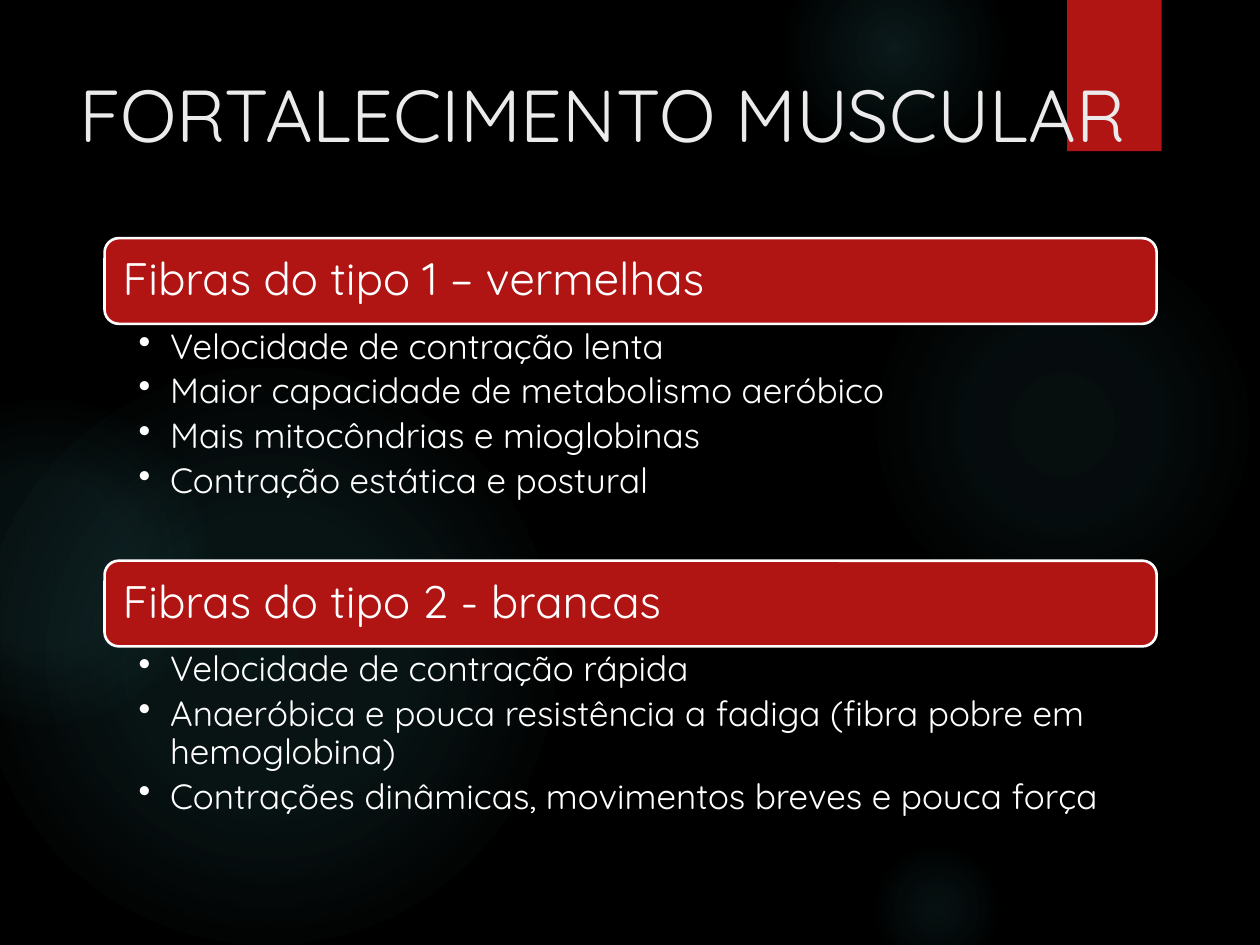
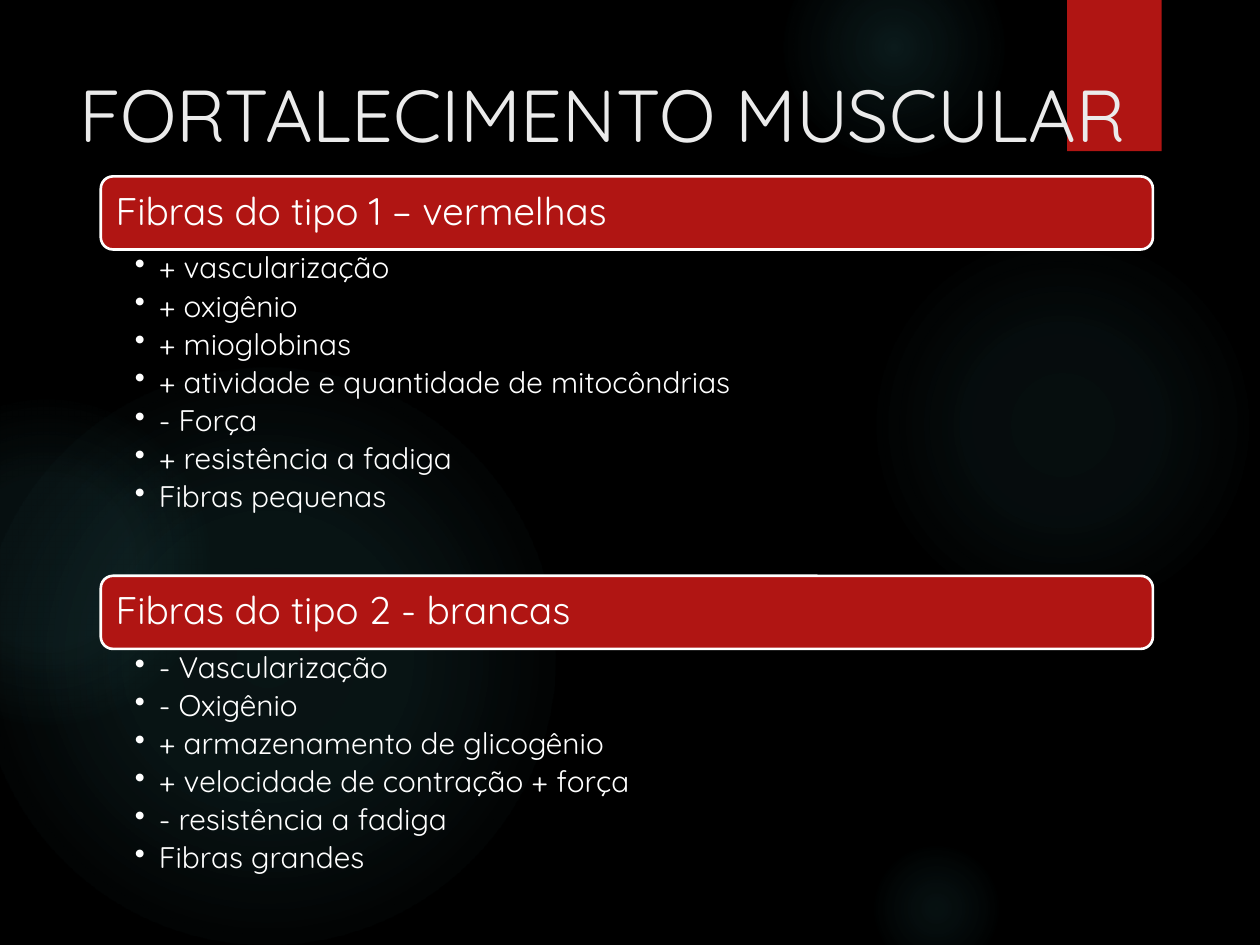
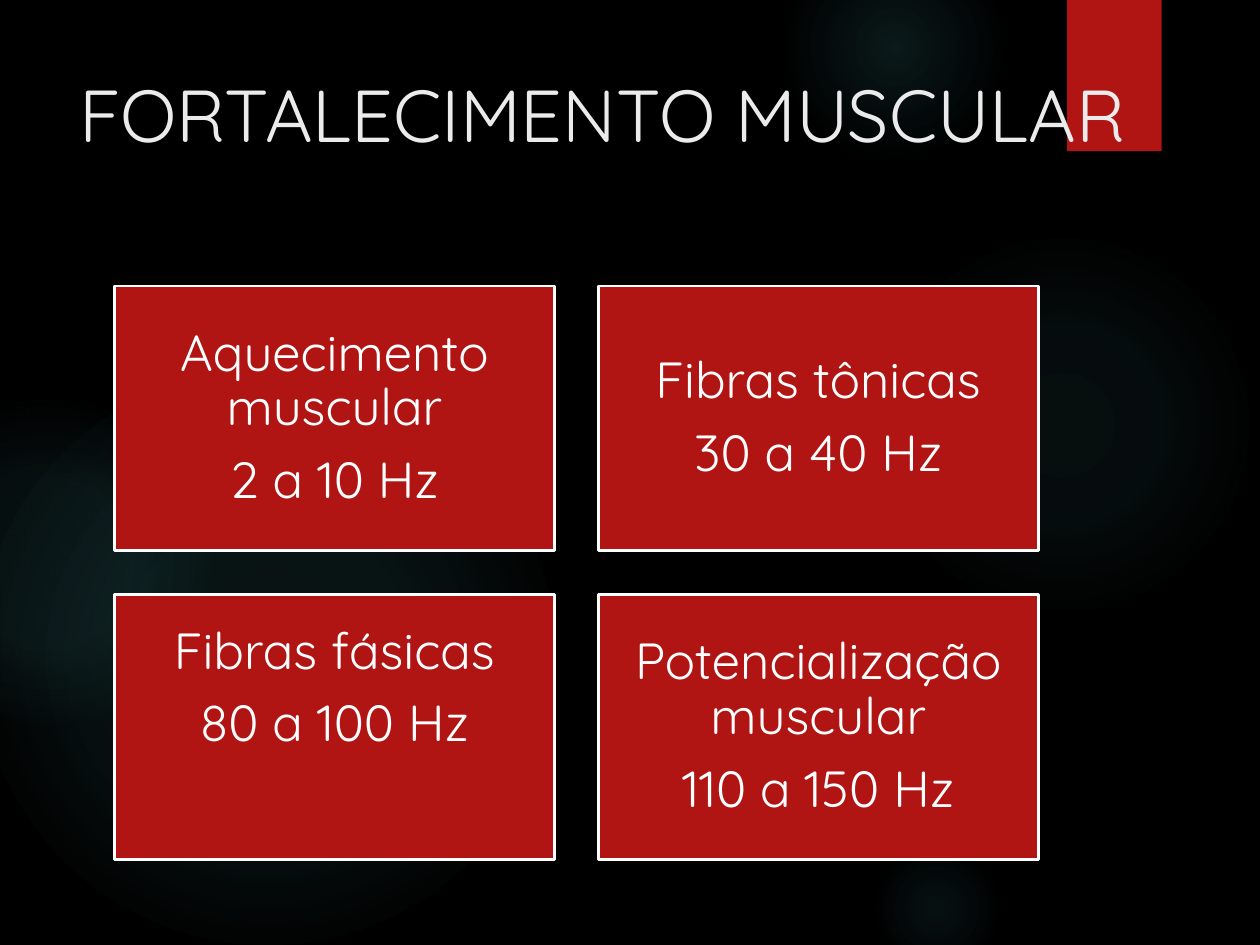
from pptx import Presentation
from pptx.dml.color import RGBColor
from pptx.enum.shapes import MSO_SHAPE
from pptx.enum.text import MSO_ANCHOR, PP_ALIGN
from pptx.oxml import parse_xml
from pptx.oxml.ns import nsdecls
from pptx.util import Inches, Pt
from lxml import etree

THEME = {
    "font": "Quicksand", "black": "000000", "red": "B01513",
    "white": "FFFFFF", "title": "EBEBEB", "glow": "50B9C1",
    "title_size": 42, "tile_size": 29, "line_width": 1.5,
}
TITLE = "FORTALECIMENTO MUSCULAR"

# Background glows: left, top, diameter, (position, opacity) stops in percent
GLOWS = [
    (6.89, 1.83, 3.08, [(0, 7), (36, 6), (69, 0)]),
    (6.22, -0.5, 1.75, [(0, 14), (36, 7), (73, 0)]),
    (6.89, 6.67, 1.08, [(0, 9), (36, 5), (66, 0)]),
    (-0.17, 2.92, 4.58, [(0, 11), (36, 10), (75, 0)]),
    (-0.92, 3.17, 2.58, [(0, 8), (36, 8), (72, 0)]),
]

# Slides that describe the fibre types: header top, body height, header, bullets
FIBRE_SLIDES = [
    {"left": 0.83, "header_h": 0.68, "header_size": 26, "header_inset": 0.11,
     "size": 20, "indent": 0.25, "insets": (0.27, 0.04, 0.2, 0.04),
     "blocks": [
         (1.89, 1.88, "Fibras do tipo 1 – vermelhas", [
             "Velocidade de contração lenta",
             "Maior capacidade de metabolismo aeróbico",
             "Mais mitocôndrias e mioglobinas",
             "Contração estática e postural"]),
         (4.45, 1.77, "Fibras do tipo 2 - brancas", [
             "Velocidade de contração rápida",
             "Anaeróbica e pouca resistência a fadiga (fibra pobre em hemoglobina)",
             "Contrações dinâmicas, movimentos breves e pouca força"])]},
    {"left": 0.8, "header_h": 0.58, "header_size": 22, "header_inset": 0.09,
     "size": 17, "indent": 0.19, "insets": (0.27, 0.03, 0.17, 0.03),
     "blocks": [
         (1.4, 2.59, "Fibras do tipo 1 – vermelhas", [
             "+ vascularização",
             "+ oxigênio",
             "+ mioglobinas",
             "+ atividade e quantidade de mitocôndrias",
             "- Força",
             "+ resistência a fadiga",
             "Fibras pequenas"]),
         (4.57, 2.24, "Fibras do tipo 2 - brancas", [
             "- Vascularização",
             "- Oxigênio",
             "+ armazenamento de glicogênio",
             "+ velocidade de contração + força",
             "- resistência a fadiga",
             "Fibras grandes"])]},
]
BLOCK_W = 8.35

# Frequency tiles: lines of text and bottom inset
TILES = [
    (["Aquecimento muscular", "2 a 10 Hz"], 0.12),
    (["Fibras tônicas", "30 a 40 Hz"], 0.12),
    (["Fibras fásicas", "80 a 100 Hz"], 0.72),
    (["Potencialização muscular", "110 a 150 Hz"], 0.12),
]
TILE_W, TILE_H, TILE_GAP = 3.49, 2.1, 0.35


def add_panel(s, kind, left, top, width, height, fill, line=None):
    sp = s.shapes.add_shape(kind, Inches(left), Inches(top), Inches(width), Inches(height))
    sp.shadow.inherit = False
    sp.fill.solid()
    sp.fill.fore_color.rgb = RGBColor.from_string(fill)
    if line:
        sp.line.color.rgb = RGBColor.from_string(line)
        sp.line.width = Pt(THEME["line_width"])
    else:
        sp.line.fill.background()
    return sp


def write(sp, lines, size, color=THEME["white"], insets=(0.1, 0.05, 0.1, 0.05),
          anchor=MSO_ANCHOR.TOP, align=PP_ALIGN.LEFT, spacing=1.0, after=0, indent=None):
    tf = sp.text_frame
    frame = {"word_wrap": True, "vertical_anchor": anchor}
    sides = ("margin_left", "margin_top", "margin_right", "margin_bottom")
    frame.update(zip(sides, map(Inches, insets)))
    for name, value in frame.items():
        setattr(tf, name, value)
    for i, line in enumerate(lines):
        p = tf.add_paragraph() if i else tf.paragraphs[0]
        if indent:
            pPr = p._p.get_or_add_pPr()
            pPr.set("marL", str(Inches(indent)))
            pPr.set("indent", str(-Inches(indent)))
            pPr.append(parse_xml(f'<a:buChar {nsdecls("a")} char="•"/>'))
        for name, value in {"alignment": align, "line_spacing": spacing,
                            "space_after": Pt(size * after)}.items():
            setattr(p, name, value)
        r = p.add_run()
        r.text = line
        for name, value in {"name": THEME["font"], "size": Pt(size)}.items():
            setattr(r.font, name, value)
        r.font.color.rgb = RGBColor.from_string(color)


prs = Presentation()
prs.slide_width, prs.slide_height = Inches(10), Inches(7.5)

# Shared background, ribbon and title
for _ in range(len(FIBRE_SLIDES) + 1):
    s = prs.slides.add_slide(prs.slide_layouts[6])
    s.background.fill.solid()
    s.background.fill.fore_color.rgb = RGBColor.from_string(THEME["black"])
    for left, top, diameter, stops in GLOWS:
        sp = add_panel(s, MSO_SHAPE.OVAL, left, top, diameter, diameter, THEME["glow"])
        grad = parse_xml(
            f'<a:gradFill {nsdecls("a")} rotWithShape="1"><a:gsLst/><a:path path="circle">'
            '<a:fillToRect l="50000" t="50000" r="50000" b="50000"/></a:path></a:gradFill>')
        for pos, alpha in stops:
            grad[0].append(etree.fromstring(
                f'<a:gs {nsdecls("a")} pos="{pos * 1000}"><a:srgbClr val="{THEME["glow"]}">'
                f'<a:alpha val="{alpha * 1000}"/></a:srgbClr></a:gs>'))
        spPr = sp._element.spPr
        spPr.replace(spPr.find("{*}solidFill"), grad)
    add_panel(s, MSO_SHAPE.RECTANGLE, 8.47, 0, 0.75, 1.2, THEME["red"])
    sp = s.shapes.add_textbox(Inches(0.53), Inches(0.5), Inches(8.88), Inches(1.53))
    write(sp, [TITLE], THEME["title_size"], THEME["title"])

# Fibre types: header bar with its bullets below
for s, f in zip(prs.slides, FIBRE_SLIDES):
    for top, body_h, header, bullets in f["blocks"]:
        sp = add_panel(s, MSO_SHAPE.ROUNDED_RECTANGLE, f["left"], top, BLOCK_W,
                       f["header_h"], THEME["red"], THEME["white"])
        write(sp, [header], f["header_size"], insets=(f["header_inset"],) * 4,
              anchor=MSO_ANCHOR.MIDDLE, spacing=0.9)
        sp = s.shapes.add_textbox(Inches(f["left"]), Inches(top + f["header_h"]),
                                  Inches(BLOCK_W), Inches(body_h))
        write(sp, bullets, f["size"], insets=f["insets"], spacing=0.9,
              after=0.2, indent=f["indent"])

# Frequencies: two by two tiles
s = prs.slides[len(FIBRE_SLIDES)]
for i, (lines, bottom) in enumerate(TILES):
    row, col = divmod(i, 2)
    sp = add_panel(s, MSO_SHAPE.RECTANGLE, 0.91 + col * (TILE_W + TILE_GAP),
                   2.27 + row * (TILE_H + TILE_GAP), TILE_W, TILE_H,
                   THEME["red"], THEME["white"])
    write(sp, lines, THEME["tile_size"], insets=(0.12, 0.12, 0.12, bottom),
          anchor=MSO_ANCHOR.MIDDLE, align=PP_ALIGN.CENTER, spacing=0.9, after=0.35)

prs.save("out.pptx")
